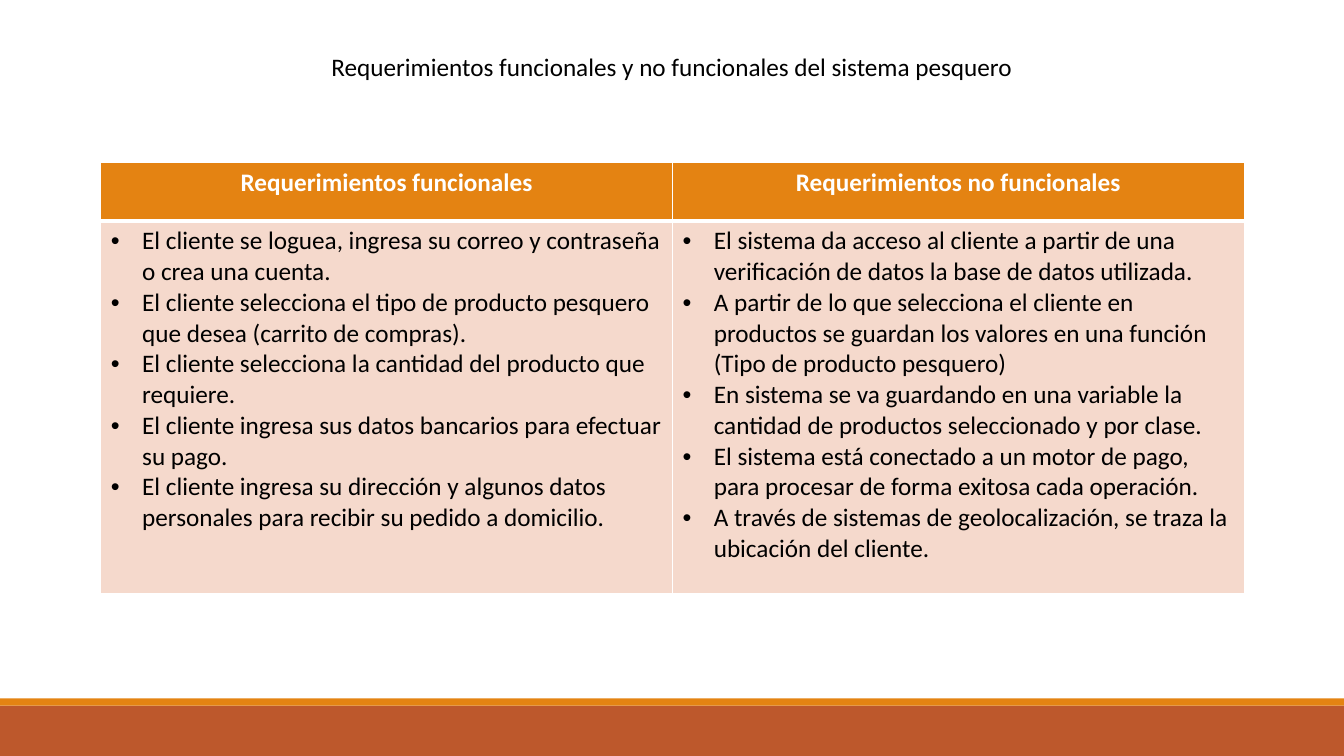
from lxml import etree
from pptx import Presentation
from pptx.dml.color import RGBColor
from pptx.enum.shapes import MSO_SHAPE
from pptx.enum.text import MSO_AUTO_SIZE, PP_ALIGN
from pptx.oxml.ns import qn
from pptx.util import Inches, Pt

RECTANGLE = MSO_SHAPE.RECTANGLE
CENTER = PP_ALIGN.CENTER
FIT_SHAPE = MSO_AUTO_SIZE.SHAPE_TO_FIT_TEXT
WHITE = RGBColor(0xFF, 0xFF, 0xFF)
BLACK = RGBColor(0x00, 0x00, 0x00)
ORANGE = RGBColor(0xE4, 0x83, 0x12)
RUST = RGBColor(0xBD, 0x58, 0x2C)
PEACH = RGBColor(0xF5, 0xD9, 0xCC)

TITLE = "Requerimientos funcionales y no funcionales del sistema pesquero"
COLUMNS = [
    ("Requerimientos funcionales", [
        "El cliente se loguea, ingresa su correo y contraseña o crea una cuenta.",
        "El cliente selecciona el tipo de producto pesquero que desea (carrito de compras).",
        "El cliente selecciona la cantidad del producto que requiere.",
        "El cliente ingresa sus datos bancarios para efectuar su pago.",
        "El cliente ingresa su dirección y algunos datos personales para recibir su pedido a domicilio.",
    ]),
    ("Requerimientos no funcionales", [
        "El sistema da acceso al cliente a partir de una verificación de datos la base de datos utilizada.",
        "A partir de lo que selecciona el cliente en productos se guardan los valores en una función "
        "(Tipo de producto pesquero)",
        "En sistema se va guardando en una variable la cantidad de productos seleccionado y por clase.",
        "El sistema está conectado a un motor de pago, para procesar de forma exitosa cada operación.",
        "A través de sistemas de geolocalización, se traza la ubicación del cliente.",
    ]),
]


def add_text(paragraph, text, color, bold=False):
    run = paragraph.add_run()
    run.text = text
    run.font.name = "Calibri"
    run.font.size = Pt(18)
    run.font.bold = bold
    run.font.color.rgb = color


def style_cell(cell, color, top, bottom):
    properties = cell._tc.get_or_add_tcPr()
    for side, width in (("lnL", 1), ("lnR", 1), ("lnT", top), ("lnB", bottom)):
        line = etree.SubElement(properties, qn(f"a:{side}"), w=str(Pt(width)))
        fill = etree.SubElement(line, qn("a:solidFill"))
        etree.SubElement(fill, qn("a:srgbClr"), val=str(WHITE))
    cell.fill.solid()
    cell.fill.fore_color.rgb = color


presentation = Presentation()
presentation.slide_width = Inches(13.33)
presentation.slide_height = Inches(7.5)
slide = presentation.slides.add_slide(presentation.slide_layouts[6])

for top, height, color in ((7, 0.5, RUST), (6.93, 0.07, ORANGE)):
    band = slide.shapes.add_shape(RECTANGLE, 0, Inches(top), Inches(13.33), Inches(height))
    band.shadow.inherit = False
    band.fill.solid()
    band.fill.fore_color.rgb = color
    band.line.fill.background()

table = slide.shapes.add_table(
    2, 2, Inches(1), Inches(1.61), Inches(11.34), Inches(4.28)).table
table.rows[0].height = Inches(0.58)
table.rows[1].height = Inches(3.7)

for index, (heading, requirements) in enumerate(COLUMNS):
    header = table.cell(0, index)
    style_cell(header, ORANGE, 1, 3)
    paragraph = header.text_frame.paragraphs[0]
    paragraph.alignment = CENTER
    add_text(paragraph, heading, WHITE, True)

    body = table.cell(1, index)
    style_cell(body, PEACH, 3, 1)
    for number, requirement in enumerate(requirements):
        frame = body.text_frame
        paragraph = frame.add_paragraph() if number else frame.paragraphs[0]
        properties = paragraph._p.get_or_add_pPr()
        properties.set("marL", str(Inches(0.31)))
        properties.set("indent", str(Inches(-0.31)))
        etree.SubElement(properties, qn("a:buFont"), typeface="Arial")
        etree.SubElement(properties, qn("a:buChar"), char="•")
        add_text(paragraph, requirement, BLACK)

title = slide.shapes.add_textbox(Inches(3.08), Inches(0.46), Inches(7.17), Inches(0.4))
title.text_frame.word_wrap = False
title.text_frame.auto_size = FIT_SHAPE
paragraph = title.text_frame.paragraphs[0]
paragraph.alignment = CENTER
add_text(paragraph, TITLE, BLACK)

presentation.save("out.pptx")
